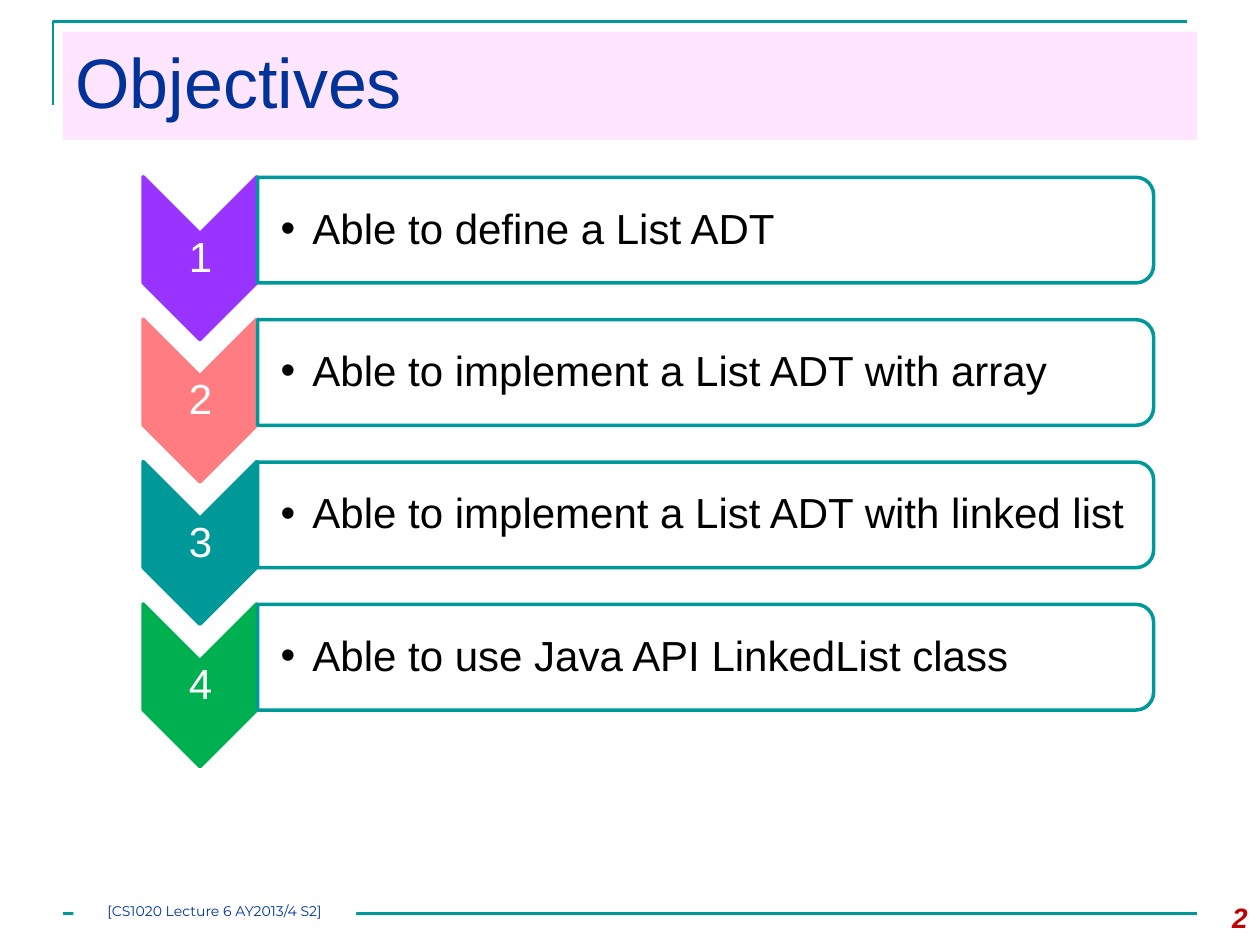
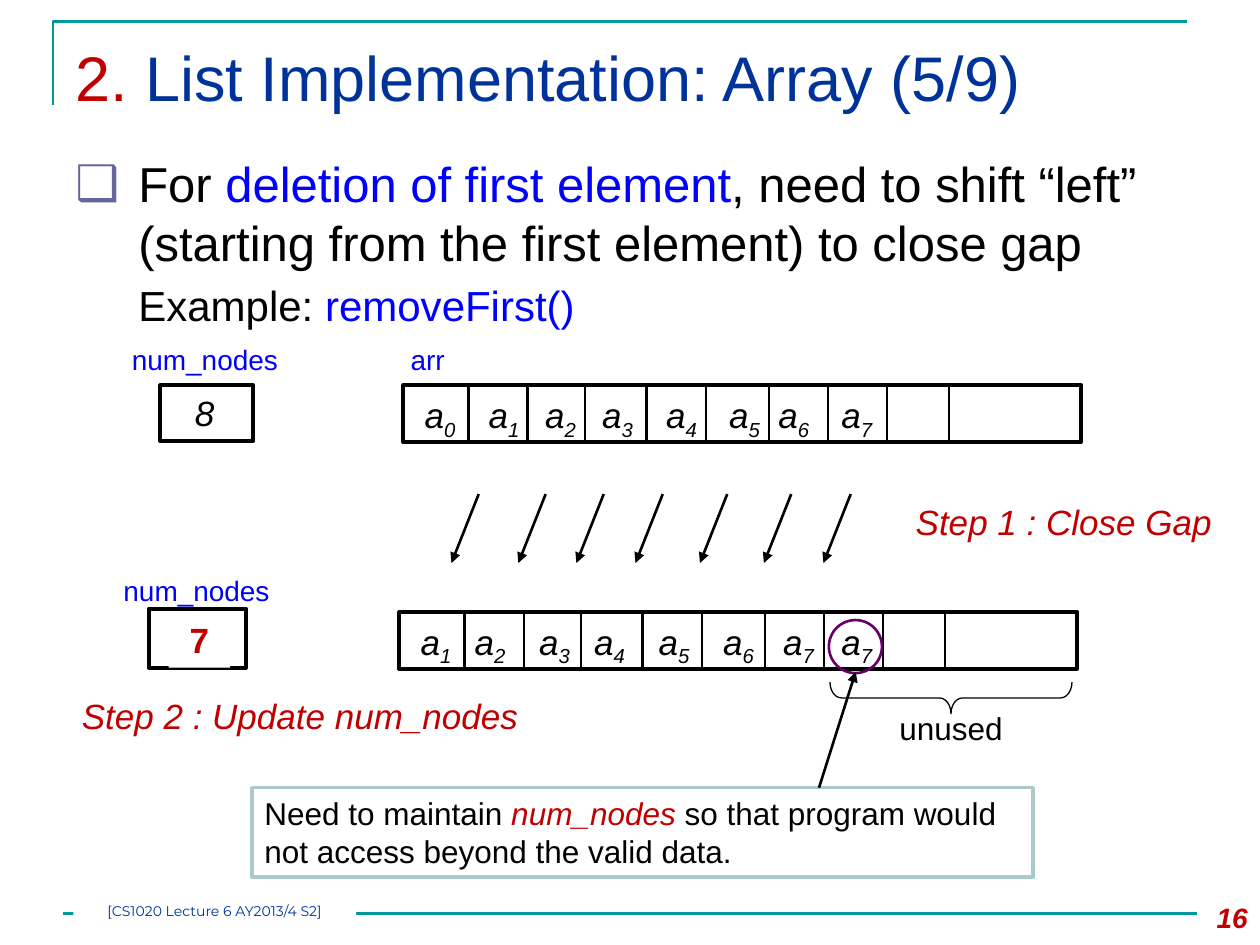
from dataclasses import dataclass
from lxml import etree
from pptx import Presentation
from pptx.dml.color import RGBColor as RGB
from pptx.enum.shapes import MSO_CONNECTOR as CONN, MSO_SHAPE as SHAPE
from pptx.enum.text import MSO_ANCHOR as ANCHOR, PP_ALIGN as ALIGN
from pptx.oxml.ns import qn
from pptx.util import Cm, Pt


@dataclass(frozen=True)
class Theme:
    font: str = "Arial"
    footer_font: str = "Montserrat"
    teal: str = "009999"
    navy: str = "003399"
    red: str = "C00000"
    blue: str = "0000FF"
    black: str = "000000"
    white: str = "FFFFFF"
    band: str = "FF99FF"
    bullet: str = "666699"
    note_line: str = "AACACA"
    circle: str = "660066"
    steps: tuple = ("9933FF", "FF7C80", "009999", "00B050")
    title: int = 40
    long_title: int = 36
    body: int = 28
    item: int = 24
    cell: int = 20
    note: int = 18
    label: int = 16
    footer: int = 8


T = Theme()


def add_box(s, box, runs=(), size=T.cell, preset=None, fill=None, line=None, width=1.5,
            align=ALIGN.LEFT, anchor=ANCHOR.TOP, insets=(0.25, 0.13, 0.25, 0.13),
            wrap=True, font=T.font, bullet=None, indent=0, spacing=None):
    """Add a shape or text box; runs are (text, colour, style) with style from b, i, _."""
    pos = [Cm(v) for v in box]
    if preset is None:
        sp = s.shapes.add_textbox(*pos)
    else:
        sp = s.shapes.add_shape(preset, *pos)
        sp.shadow.inherit = False
        if fill:
            sp.fill.solid()
            sp.fill.fore_color.rgb = RGB.from_string(fill)
        else:
            sp.fill.background()
        if line:
            sp.line.color.rgb = RGB.from_string(line)
            sp.line.width = Pt(width)
        else:
            sp.line.fill.background()
    if not runs:
        return sp
    tf = sp.text_frame
    tf.word_wrap = wrap
    tf.vertical_anchor = anchor
    tf.margin_left, tf.margin_top, tf.margin_right, tf.margin_bottom = [Cm(v) for v in insets]
    p = tf.paragraphs[0]
    p.alignment = align
    if spacing:
        p.line_spacing = spacing
    if bullet:
        char, color = bullet
        pPr = p._p.get_or_add_pPr()
        pPr.set("marL", str(Cm(indent)))
        pPr.set("indent", str(-Cm(indent)))
        clr = etree.SubElement(pPr, qn("a:buClr"))
        etree.SubElement(clr, qn("a:srgbClr"), val=color)
        etree.SubElement(pPr, qn("a:buFont"), typeface=T.font)
        etree.SubElement(pPr, qn("a:buChar"), char=char)
    for text, color, style in runs:
        r = p.add_run()
        r.text = text
        r.font.name = font
        r.font.size = Pt(size)
        r.font.color.rgb = RGB.from_string(color)
        r.font.bold = "b" in style
        r.font.italic = "i" in style
        if "_" in style:
            r._r.get_or_add_rPr().set("baseline", "-25000")
    return sp


def add_line(s, x1, y1, x2, y2, color=T.black, arrow=False):
    """Add a straight 1.5 pt line, with an arrowhead at its end if asked."""
    c = s.shapes.add_connector(CONN.STRAIGHT, Cm(x1), Cm(y1), Cm(x2), Cm(y2))
    c.line.color.rgb = RGB.from_string(color)
    c.line.width = Pt(1.5)
    if arrow:
        etree.SubElement(c.line._get_or_add_ln(), qn("a:tailEnd"), type="triangle")
    etree.SubElement(c._element.spPr, qn("a:effectLst"))


prs = Presentation()
prs.slide_width, prs.slide_height = Cm(25.4), Cm(19.05)

# Shared frame: corner rule, footer rule, title, page number, footer text
pages = [
    (2, T.title, T.band, [("Objectives", T.navy, "")]),
    (16, T.long_title, None, [("2. ", T.red, ""),
                              ("List Implementation: Array (5/9)", T.navy, "")]),
]
slides = []
for number, size, band, title in pages:
    s = prs.slides.add_slide(prs.slide_layouts[6])
    slides.append(s)
    fb = s.shapes.build_freeform(Cm(1.07), Cm(2.11))
    fb.add_line_segments([(Cm(1.07), Cm(0.43)), (Cm(23.93), Cm(0.43))], close=False)
    corner = fb.convert_to_shape()
    corner.shadow.inherit = False
    corner.fill.background()
    corner.line.color.rgb = RGB.from_string(T.teal)
    corner.line.width = Pt(1.5)
    add_line(s, 1.27, 18.42, 24.13, 18.42, T.teal)
    sp = add_box(s, (1.27, 0.64, 22.86, 2.18), title, size, SHAPE.RECTANGLE, band)
    if band:
        clr = sp._element.spPr.find(qn("a:solidFill")).find(qn("a:srgbClr"))
        etree.SubElement(clr, qn("a:alpha"), val="25000")
    add_box(s, (23.7, 18.03, 1.7, 1.02), [(str(number), T.red, "bi")], T.label,
            align=ALIGN.RIGHT)
    add_box(s, (1.48, 18.2, 5.7, 0.44), [("[CS1020 Lecture 6 AY2013/4 S2]", T.navy, "")],
            T.footer, SHAPE.RECTANGLE, T.white, align=ALIGN.CENTER,
            insets=(0, 0, 0, 0), font=T.footer_font)
objectives, deletion = slides

# Slide 1: numbered chevrons with objective bars
s = objectives
goals = ["Able to define a List ADT", "Able to implement a List ADT with array",
         "Able to implement a List ADT with linked list",
         "Able to use Java API LinkedList class"]
for i, (goal, color) in enumerate(zip(goals, T.steps)):
    dy = 2.87 * i
    sp = add_box(s, (2.39, 4.06 + dy, 3.28, 2.29), preset=SHAPE.CHEVRON,
                 fill=color, line=color, width=2)
    sp.rotation = 90
    add_box(s, (2.9, 4.72 + dy, 2.29, 0.99), [(str(i + 1), T.white, "")], T.item,
            align=ALIGN.CENTER, anchor=ANCHOR.MIDDLE, insets=(0.05,) * 4, spacing=0.9)
    sp = add_box(s, (13.16, -4.39 + dy, 2.13, 18.06), preset=SHAPE.ROUND_2_SAME_RECTANGLE,
                 fill=T.white, line=T.teal, width=2)
    sp.rotation = 90
    add_box(s, (5.18, 3.68 + dy, 17.96, 1.93), [(goal, T.black, "")], T.item,
            anchor=ANCHOR.MIDDLE, insets=(0.48, 0.05, 0.05, 0.05),
            bullet=("•", T.black), indent=0.64, spacing=0.9)

# Slide 2: statement and example
s = deletion
add_box(s, (1.27, 2.97, 22.86, 2.54),
        [("For ", T.black, ""), ("deletion of first element", T.blue, ""),
         (", need to shift “left” (starting from the first element) to close gap",
          T.black, "")],
        T.body, bullet=("❑", T.bullet), indent=1.27)
add_box(s, (2.54, 5.51, 9.68, 1.27),
        [("Example: ", T.black, ""), ("removeFirst()", T.blue, "")], T.item)

# Array before and after the shift: frame corner, subscripts, label positions
dividers = [1.32, 2.51, 3.66, 4.9, 6.1, 7.37, 8.56, 9.75, 11]
arrays = [
    (8.13, 7.77, "01234567", [8.31, 9.6, 10.74, 11.89, 13.18, 14.45, 15.44, 16.71]),
    (8.05, 12.34, "12345677", [8.23, 9.32, 10.62, 11.73, 13.03, 14.33, 15.54, 16.71]),
]
for left, top, subscripts, label_xs in arrays:
    add_box(s, (left, top, 13.67, 1.14), preset=SHAPE.RECTANGLE, line=T.black, width=2.25)
    for dx in dividers:
        add_line(s, left + dx, top + 0.04, left + dx, top + 1.12)
    for sub, x in zip(subscripts, label_xs):
        add_box(s, (x, top + 0.03, 1.17, 1.1), [("a", T.black, "i"), (sub, T.black, "i_")],
                wrap=False)
add_box(s, (8.03, 6.78, 1.19, 0.94), [("arr", T.blue, "")], T.label, wrap=False)

# Node counters
for x, y in [(2.41, 6.78), (2.24, 11.43)]:
    add_box(s, (x, y, 3.48, 0.94), [("num_nodes", T.blue, "")], T.label, wrap=False)
for box in [(3.23, 7.77, 1.88, 1.12), (3, 12.27, 1.96, 1.19)]:
    add_box(s, box, preset=SHAPE.RECTANGLE, line=T.black, width=2.25)
add_box(s, (3.68, 7.77, 0.91, 1.09), [("8", T.black, "i")], wrap=False)
add_box(s, (3.4, 12.34, 1.24, 1.12), [("7", T.red, "b")], preset=SHAPE.RECTANGLE,
        fill=T.white, align=ALIGN.CENTER)

# Shift arrows and step captions
for x in [9.65, 11, 12.17, 13.36, 14.66, 15.95, 17.15]:
    add_line(s, x, 9.96, x - 0.55, 11.35, arrow=True)
add_box(s, (18.21, 9.96, 6.53, 1.12), [("Step 1 : Close Gap", T.red, "i")], wrap=False)
add_box(s, (1.4, 13.87, 9.37, 1.12), [("Step 2 : Update num_nodes", T.red, "i")], wrap=False)

# Unused cells and the note about them
add_box(s, (5.08, 15.88, 15.75, 1.8),
        [("Need to maintain ", T.black, ""), ("num_nodes", T.red, "i"),
         (" so that program would not access beyond the valid data.", T.black, "")],
        T.note, SHAPE.RECTANGLE, T.white, T.note_line, 2)
add_box(s, (16.71, 12.5, 1.07, 1.07), preset=SHAPE.OVAL, line=T.circle)
add_line(s, 16.51, 15.88, 17.25, 13.54, arrow=True)
sp = add_box(s, (18.85, 11.63, 0.64, 4.88), preset=SHAPE.RIGHT_BRACE, line=T.black, width=0.75)
sp.adjustments[0], sp.adjustments[1] = 0.36, 0.5
sp.rotation = 90
add_box(s, (17.58, 14.17, 3.18, 1.02), [("unused", T.black, "")], T.note, align=ALIGN.CENTER)

prs.save("out.pptx")
